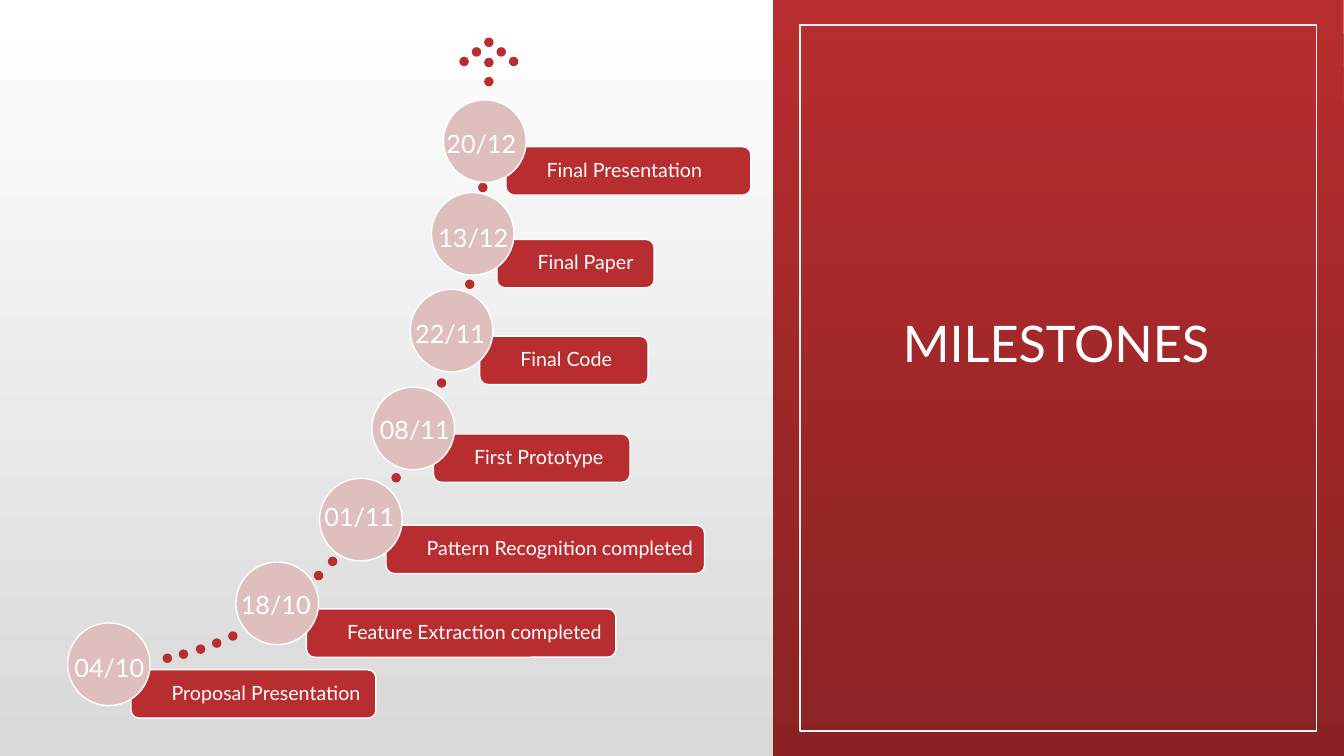
from pptx import Presentation
from pptx.dml.color import RGBColor
from pptx.enum.shapes import MSO_SHAPE
from pptx.enum.text import MSO_ANCHOR, PP_ALIGN
from pptx.util import Inches, Pt

# Colours
RED = RGBColor(0xB8, 0x2D, 0x2F)
DARK_RED = RGBColor(0x8A, 0x22, 0x23)
PINK = RGBColor(0xDF, 0xBE, 0xBE)
WHITE = RGBColor(0xFF, 0xFF, 0xFF)
FRAME_GREY = RGBColor(0xF2, 0xF2, 0xF2)
BACK_GREY = RGBColor(0xD9, 0xD9, 0xD9)
FONT = "Lato"

# Grid: square cells, ten to the inch
COLUMNS, ROWS = 133.33, 75
TIMELINE_COLUMNS, PANEL_COLUMNS = 76.65, 56.65
DOT, CIRCLE = 0.8, 8.2
LABEL_HEIGHT, LABEL_DROP = 4.8, 4.65

# Date, date offset in circle, circle position, label, label left and width
MILESTONES = [
    ("04/10", (-0.3, 2.4), (6.7, 61.8), "Proposal Presentation", 13, 24.3),
    ("18/10", (-0.5, 2.2), (23.4, 55.75), "Feature Extraction completed", 30.4, 30.7),
    ("01/11", (-0.5, 1.8), (31.7, 47.45), "Pattern Recognition completed", 38.3, 31.6),
    ("08/11", (-0.2, 2.2), (36.9, 38.4), "First Prototype", 43, 19.5),
    ("22/11", (-0.5, 2.4), (40.7, 28.7), "Final Code", 47.6, 16.7),
    ("13/12", (-0.3, 2.5), (42.8, 19.1), "Final Paper", 49.3, 15.6),
    ("20/12", (-0.7, 2.3), (44, 9.9), "Final Presentation", 50.2, 24.3),
]
TRAIL = [
    (16.2, 64.9), (17.8, 64.5), (19.5, 64), (21.1, 63.4), (22.7, 62.7),
    (31.2, 56.7), (32.6, 55.3), (38.9, 47), (43.4, 37.6), (46.2, 27.8),
    (47.5, 18.2),
]
ARROW_TIP = (48.1, 3.8)
ARROW_STEP = (1.23, 0.95)
ARROW_STEM = (5.8, 7.7)


def cells(*counts):
    return [Inches(count / 10) for count in counts]


def gradient(fill, start, end, angle):
    fill.gradient()
    fill.gradient_angle = angle
    for stop, colour in zip(fill.gradient_stops, (start, end)):
        stop.color.rgb = colour


def add_figure(slide, preset, area, colour=None, outline=None, weight=1):
    figure = slide.shapes.add_shape(preset, *cells(*area))
    figure.shadow.inherit = False
    if colour is None:
        figure.fill.background()
    else:
        figure.fill.solid()
        figure.fill.fore_color.rgb = colour
    if outline is None:
        figure.line.fill.background()
    else:
        figure.line.color.rgb = outline
        figure.line.width = Pt(weight)
    return figure


def write(holder, wording, size, align=PP_ALIGN.LEFT, spacing=None):
    paragraph = holder.text_frame.paragraphs[0]
    paragraph.text = wording
    paragraph.alignment = align
    paragraph.line_spacing = spacing
    font = paragraph.runs[0].font
    font.name, font.size, font.color.rgb = FONT, Pt(size), WHITE


def title_panel(slide, left, top, width, height):
    panel = add_figure(slide, MSO_SHAPE.RECTANGLE, (left, top, width, height), RED)
    gradient(panel.fill, RED, DARK_RED, 270)
    add_figure(slide, MSO_SHAPE.RECTANGLE,
               (left + 2.7, top + 2.5, width - 5.4, height - 5),
               outline=FRAME_GREY, weight=1.25)
    title = slide.shapes.add_textbox(
        *cells(left + 6.6, top + 18.3, width - 13.6, 19.2))
    title.text_frame.word_wrap = True
    title.text_frame.vertical_anchor = MSO_ANCHOR.BOTTOM
    write(title, "MILESTONES", 36, PP_ALIGN.CENTER, 0.9)


def dotted_path(slide, left, top):
    tip_x, tip_y = ARROW_TIP
    step_x, step_y = ARROW_STEP
    head = [(tip_x + i * step_x, tip_y + abs(i) * step_y) for i in range(-2, 3)]
    stem = [(tip_x, y) for y in ARROW_STEM]
    for x, y in TRAIL + head + stem:
        add_figure(slide, MSO_SHAPE.OVAL, (left + x, top + y, DOT, DOT), RED, RED)


def milestone(slide, left, top, date, date_offset, label, label_left, label_width):
    # Label bar, partly covered by its circle
    bar = add_figure(slide, MSO_SHAPE.ROUNDED_RECTANGLE,
                     (label_left, top + LABEL_DROP, label_width, LABEL_HEIGHT),
                     RED, WHITE)
    frame = bar.text_frame
    frame.word_wrap = True
    frame.vertical_anchor = MSO_ANCHOR.MIDDLE
    frame.margin_left, frame.margin_right = cells(3.8, 0.6)
    frame.margin_top, frame.margin_bottom = cells(0.6, 0.6)
    write(bar, label, 14, spacing=0.9)
    # Circle with its date
    add_figure(slide, MSO_SHAPE.OVAL, (left, top, CIRCLE, CIRCLE), PINK, WHITE)
    date_x, date_y = date_offset
    day = slide.shapes.add_textbox(*cells(left + date_x, top + date_y, 9.1, 4))
    day.text_frame.word_wrap = False
    write(day, date, 18)


def timeline(slide, left, top):
    dotted_path(slide, left, top)
    for date, date_offset, (x, y), label, label_left, label_width in MILESTONES:
        milestone(slide, left + x, top + y, date, date_offset,
                  label, left + label_left, label_width)


def main():
    deck = Presentation()
    deck.slide_width, deck.slide_height = cells(COLUMNS, ROWS)
    slide = deck.slides.add_slide(deck.slide_layouts[6])
    gradient(slide.background.fill, BACK_GREY, WHITE, 90)
    title_panel(slide, TIMELINE_COLUMNS, 0, PANEL_COLUMNS, ROWS)
    timeline(slide, 0, 0)
    deck.save("out.pptx")


if __name__ == "__main__":
    main()
